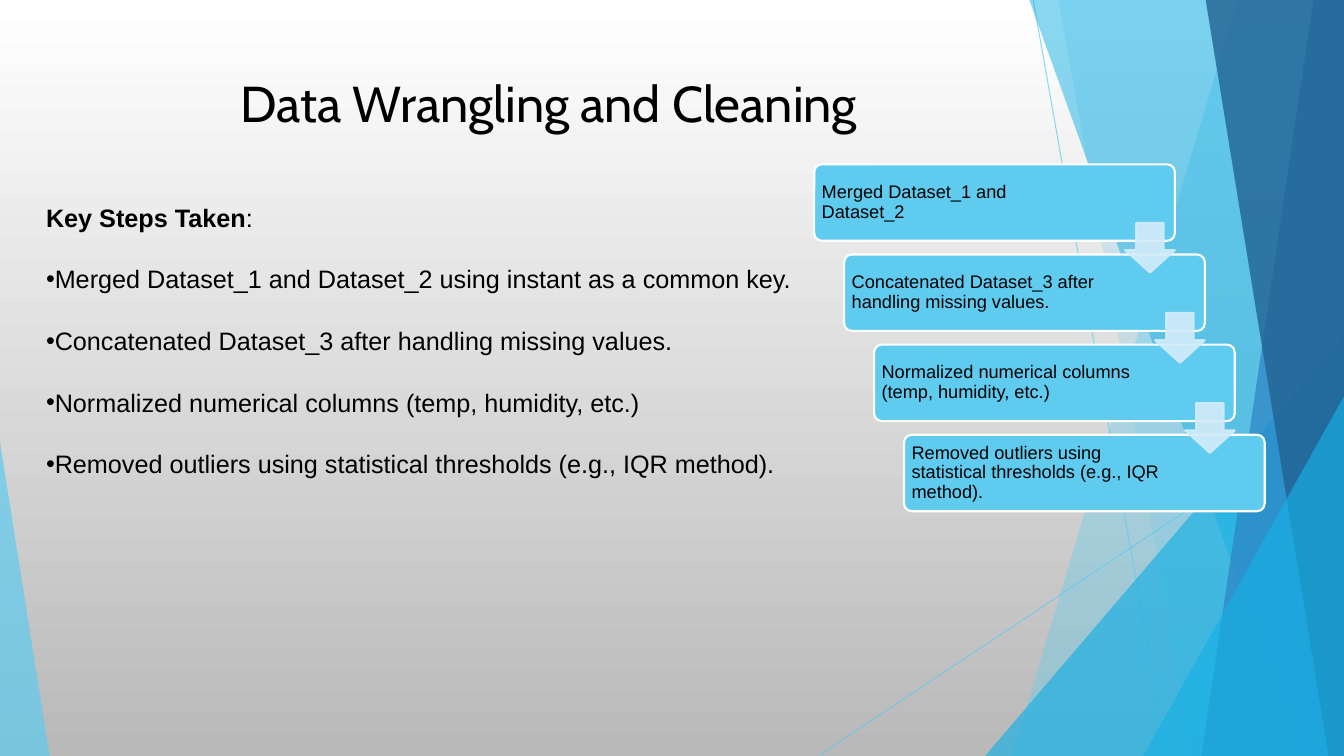
from dataclasses import dataclass

from lxml import etree
from pptx import Presentation
from pptx import util as u
from pptx.dml.color import RGBColor
from pptx.enum import shapes, text
from pptx.oxml import ns


@dataclass(frozen=True)
class Theme:
    """Colours, fonts and type sizes of the slide."""
    sky: str = "5FCBEF"
    cyan: str = "17B0E4"
    blue: str = "2E83C3"
    navy: str = "226292"
    pale: str = "D2ECF9"
    white: str = "FFFFFF"
    grey: str = "B9B9B9"
    ink: str = "000000"
    title_font: str = "Cabin"
    body_font: str = "Arial"
    title_size: float = 36
    body_size: float = 18
    step_size: float = 13


class SlideBuilder:
    """Draws themed elements on one slide, with lengths in points."""

    def __init__(self, slide, theme):
        """Keep the slide and its theme."""
        self.slide = slide
        self.theme = theme

    def background(self):
        """Fill the slide with a vertical gradient."""
        fill = self.slide.background.fill
        fill.gradient()
        fill.gradient_angle = 270
        for stop, color in zip(fill.gradient_stops, (self.theme.white, self.theme.grey)):
            stop.color.rgb = RGBColor.from_string(color)

    def set_alpha(self, shape, percent):
        """Make every colour of a shape partly transparent."""
        for color in shape.element.spPr.iter(ns.qn("a:srgbClr")):
            etree.SubElement(color, ns.qn("a:alpha")).set("val", str(percent * 1000))

    def paint(self, shape, fill, alpha=100, line=None):
        """Set fill, outline and transparency of a shape."""
        shape.shadow.inherit = False
        shape.fill.solid()
        shape.fill.fore_color.rgb = RGBColor.from_string(fill)
        if line:
            shape.line.color.rgb = RGBColor.from_string(line)
            shape.line.width = u.Pt(1.5)
        else:
            shape.line.fill.background()
        if alpha < 100:
            self.set_alpha(shape, alpha)

    def preset(self, kind, box, adjustments, fill, alpha=100, line=None):
        """Add a preset shape."""
        shape = self.slide.shapes.add_shape(kind, *map(u.Pt, box))
        for index, value in enumerate(adjustments):
            shape.adjustments[index] = value
        self.paint(shape, fill, alpha, line)
        return shape

    def polygon(self, points, fill, alpha):
        """Add a closed outline."""
        corners = [(u.Pt(x), u.Pt(y)) for x, y in points]
        builder = self.slide.shapes.build_freeform(*corners[0])
        builder.add_line_segments(corners[1:], close=True)
        self.paint(builder.convert_to_shape(), fill, alpha)

    def line(self, *ends):
        """Add a thin straight line."""
        connector = self.slide.shapes.add_connector(
            shapes.MSO_CONNECTOR.STRAIGHT, *map(u.Pt, ends))
        connector.line.color.rgb = RGBColor.from_string(self.theme.sky)
        connector.line.width = u.Pt(0.75)
        self.set_alpha(connector, 70)
        etree.SubElement(connector.element.spPr, ns.qn("a:effectLst"))

    def format_runs(self, paragraph, font, size):
        """Apply font, size and ink colour to the runs of a paragraph."""
        for run in paragraph.runs:
            run.font.name = font
            run.font.size = u.Pt(size)
            run.font.color.rgb = RGBColor.from_string(self.theme.ink)

    def title(self, words, box):
        """Place and format the title above the decoration."""
        shape = self.slide.shapes.title
        shape.element.getparent().append(shape.element)
        shape.left, shape.top, shape.width, shape.height = map(u.Pt, box)
        frame = shape.text_frame
        frame.text = words
        frame.vertical_anchor = text.MSO_ANCHOR.TOP
        frame.paragraphs[0].alignment = text.PP_ALIGN.CENTER
        self.format_runs(frame.paragraphs[0], self.theme.title_font, self.theme.title_size)

    def bullet_list(self, heading, items, box):
        """Add a bold heading followed by bullets."""
        frame = self.slide.shapes.add_textbox(*map(u.Pt, box)).text_frame
        frame.word_wrap = True
        frame.margin_top = u.Pt(4.6)
        first = frame.paragraphs[0]
        first.add_run().text = heading
        first.add_run().text = ":"
        first.runs[0].font.bold = True
        for item in items:
            paragraph = frame.add_paragraph()
            paragraph.text = item
            properties = paragraph._p.get_or_add_pPr()
            properties.set("marL", "0")
            properties.set("indent", "0")
            etree.SubElement(properties, ns.qn("a:buFont")).set("typeface", self.theme.body_font)
            etree.SubElement(properties, ns.qn("a:buChar")).set("char", "•")
        for paragraph in frame.paragraphs:
            paragraph.space_after = u.Pt(22.45)
            self.format_runs(paragraph, self.theme.body_font, self.theme.body_size)

    def step(self, words, box):
        """Add a rounded box holding one step."""
        shape = self.preset(shapes.MSO_SHAPE.ROUNDED_RECTANGLE, box, [0.1],
                            self.theme.sky, line=self.theme.white)
        frame = shape.text_frame
        frame.word_wrap = True
        frame.vertical_anchor = text.MSO_ANCHOR.MIDDLE
        frame.margin_left, frame.margin_right = u.Pt(3.8), u.Pt(62)
        frame.text = words
        paragraph = frame.paragraphs[0]
        paragraph.alignment = text.PP_ALIGN.LEFT
        paragraph.line_spacing = 0.9
        self.format_runs(paragraph, self.theme.body_font, self.theme.step_size)

    def staircase(self, steps):
        """Add descending steps joined by arrows."""
        shift, drop = 21.4, 64.4
        for index, words in enumerate(steps):
            self.step(words, (581.6 + index * shift, 117.4 + index * drop, 257.6, 54.6))
        for index in range(len(steps) - 1):
            box = (803.7 + index * shift, 159.2 + index * drop, 35.5, 35.5)
            self.preset(shapes.MSO_SHAPE.DOWN_ARROW, box, [0.55, 0.45],
                        self.theme.pale, 90, self.theme.pale)

    def facets(self):
        """Add the angular decoration at both sides."""
        theme, right, top, bottom = self.theme, 960, -0.6, 540
        triangle = shapes.MSO_SHAPE.ISOSCELES_TRIANGLE

        def band(upper, lower, fill, alpha):
            """Add a band that reaches the right edge."""
            self.polygon([(upper, top), (right, top), (right, bottom), (lower, bottom)],
                         fill, alpha)

        self.line(738, 0, 833.8, bottom)
        self.line(right, 290, 584.6, bottom)
        band(884.2, 722.9, theme.sky, 36)
        band(756, 851.8, theme.sky, 20)
        self.preset(triangle, (703.6, 240, 256.4, 300), [1], theme.cyan, 66)
        band(735.1, 929.5, theme.cyan, 50)
        band(938.2, 858.2, theme.blue, 70)
        band(861.1, 949, theme.navy, 80)
        self.preset(triangle, (816.6, 283, 143.4, 257), [1], theme.cyan, 66)
        self.preset(triangle, (0, 316, 35.4, 224), [0], theme.sky, 70)


def main():
    """Build and save the slide."""
    presentation = Presentation()
    presentation.slide_width, presentation.slide_height = u.Pt(960), u.Pt(540)
    slide = presentation.slides.add_slide(presentation.slide_layouts[5])
    builder = SlideBuilder(slide, Theme())
    shared_steps = [
        "Concatenated Dataset_3 after handling missing values.",
        "Normalized numerical columns (temp, humidity, etc.)",
        "Removed outliers using statistical thresholds (e.g., IQR method).",
    ]
    merge = "Merged Dataset_1 and Dataset_2"
    builder.background()
    builder.facets()
    builder.title("Data Wrangling and Cleaning", (53.6, 48.2, 676.8, 66))
    builder.bullet_list("Key Steps Taken",
                        [f"{merge} using instant as a common key.", *shared_steps],
                        (25.8, 139.7, 552, 225.4))
    builder.staircase([merge, *shared_steps])
    presentation.save("out.pptx")


if __name__ == "__main__":
    main()
